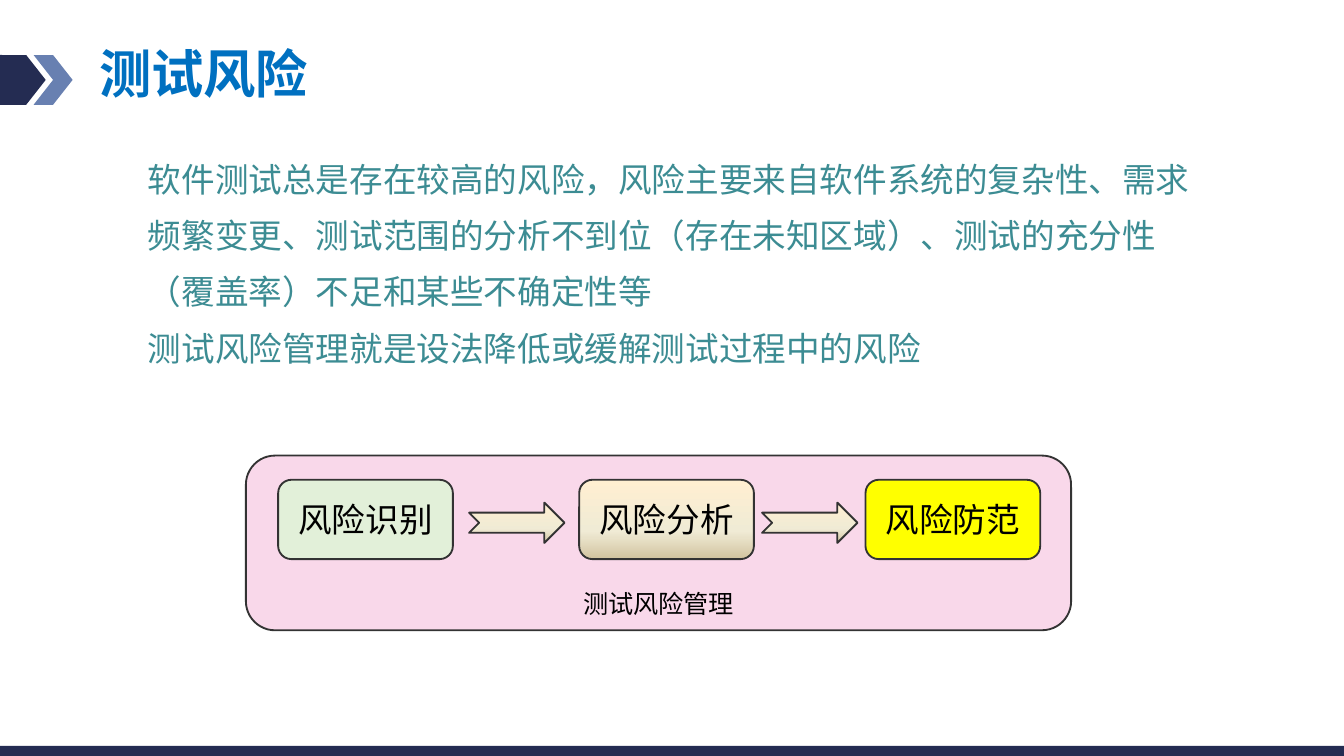
from copy import deepcopy

from lxml import etree
from pptx import Presentation
from pptx.dml.color import RGBColor
from pptx.enum import shapes, text
from pptx.oxml.ns import qn
from pptx.util import Inches, Pt

SHAPE = shapes.MSO_SHAPE
ANCHOR = text.MSO_ANCHOR
CJK = "Noto Sans CJK SC"
NAVY, OUTLINE = "242C52", "333333"
SAND = [(0, "FFEFD1"), (0.65, "F0EBD5"), (1, "D1C39F")]


def color(value):
    return RGBColor.from_string(value)


def fill_gradient(fill, stops):
    """Fill from top to bottom with any number of (position, colour) stops."""
    fill.gradient()
    fill.gradient_angle = 270
    stop_list = fill.gradient_stops[0]._gs.getparent()
    for _ in stops[2:]:
        stop_list.append(deepcopy(stop_list[0]))
    for stop, (position, value) in zip(fill.gradient_stops, stops):
        stop.position = position
        stop.color.rgb = color(value)


def add_block(slide, kind, box, fill, line=None):
    block = slide.shapes.add_shape(kind, *map(Inches, box))
    block.shadow.inherit = False
    if isinstance(fill, list):
        fill_gradient(block.fill, fill)
    else:
        block.fill.solid()
        block.fill.fore_color.rgb = color(fill)
    if line:
        block.line.color.rgb = color(line)
        block.line.width = Pt(1)
    else:
        block.line.fill.background()
    return block


def write(shape, lines, size, value, font=CJK, bold=False, spacing=None,
          align=text.PP_ALIGN.LEFT, anchor=ANCHOR.TOP, wrap=True, inset=0):
    """Set the text; the inset is halved at top and bottom."""
    frame = shape.text_frame
    frame.word_wrap = wrap
    frame.vertical_anchor = anchor
    frame.margin_left = frame.margin_right = Inches(inset)
    frame.margin_top = frame.margin_bottom = Inches(inset / 2)
    frame.text = "\n".join(lines)
    for paragraph in frame.paragraphs:
        paragraph.alignment = align
        if spacing:
            paragraph.line_spacing = spacing
        paragraph.font.size = Pt(size)
        paragraph.font.bold = bold
        paragraph.font.color.rgb = color(value)
        paragraph.font.name = font
        # Chinese characters take their font from the East Asian slot
        defaults = paragraph._p.pPr.find(qn("a:defRPr"))
        etree.SubElement(defaults, qn("a:ea")).set("typeface", font)


def add_text(slide, box, lines, size, value, **style):
    write(slide.shapes.add_textbox(*map(Inches, box)), lines, size, value, **style)


def add_label(block, label, size, anchor=ANCHOR.MIDDLE):
    write(block, [label], size, "000000", align=text.PP_ALIGN.CENTER,
          anchor=anchor, wrap=False, inset=0.05)


def add_decoration(slide):
    tab = add_block(slide, SHAPE.ROUNDED_RECTANGLE, (-0.15, 0.41, 0.35, 0.37), NAVY)
    tab.adjustments[0] = 0.1
    for left, fill in ((0.25, "6880B1"), (0.05, NAVY)):
        add_block(slide, SHAPE.CHEVRON, (left, 0.41, 0.29, 0.37), fill)
    add_block(slide, SHAPE.RECTANGLE, (0, 5.55, 10, 0.13), NAVY)


def add_risk_process(slide):
    panel = add_block(slide, SHAPE.ROUNDED_RECTANGLE, (1.83, 3.39, 6.14, 1.3),
                      "F9D8EA", OUTLINE)
    add_label(panel, "测试风险管理", 13.5, ANCHOR.BOTTOM)
    stages = ((2.07, "风险识别", "E2F0D9"),
              (4.31, "风险分析", SAND),
              (6.44, "风险防范", "FFFF00"))
    for left, label, fill in stages:
        stage = add_block(slide, SHAPE.ROUNDED_RECTANGLE, (left, 3.57, 1.3, 0.59),
                          fill, OUTLINE)
        add_label(stage, label, 18)
    for left in (3.49, 5.67):
        add_block(slide, SHAPE.NOTCHED_RIGHT_ARROW, (left, 3.74, 0.71, 0.3),
                  SAND, OUTLINE)


def main():
    # Widescreen, 16:9
    deck = Presentation()
    deck.slide_width = Inches(10)
    deck.slide_height = deck.slide_width * 9 // 16
    slide = deck.slides.add_slide(deck.slide_layouts[6])

    # Title and its markers
    add_decoration(slide)
    add_text(slide, (0.64, 0.31, 8.93, 0.57), ["测试风险"], 28, "0070C0",
             bold=True, spacing=0.9, inset=0.1)

    # Explanation
    add_text(slide, (1.1, 1.06, 7.89, 1.66), [
        "软件测试总是存在较高的风险，风险主要来自软件系统的复杂性、需求频繁变更、"
        "测试范围的分析不到位（存在未知区域）、测试的充分性（覆盖率）不足和某些不确定性等",
        "测试风险管理就是设法降低或缓解测试过程中的风险",
    ], 18, "3C8C93", font="Calibri", spacing=1.4)

    # Risk management process
    add_risk_process(slide)
    deck.save("out.pptx")


if __name__ == "__main__":
    main()
